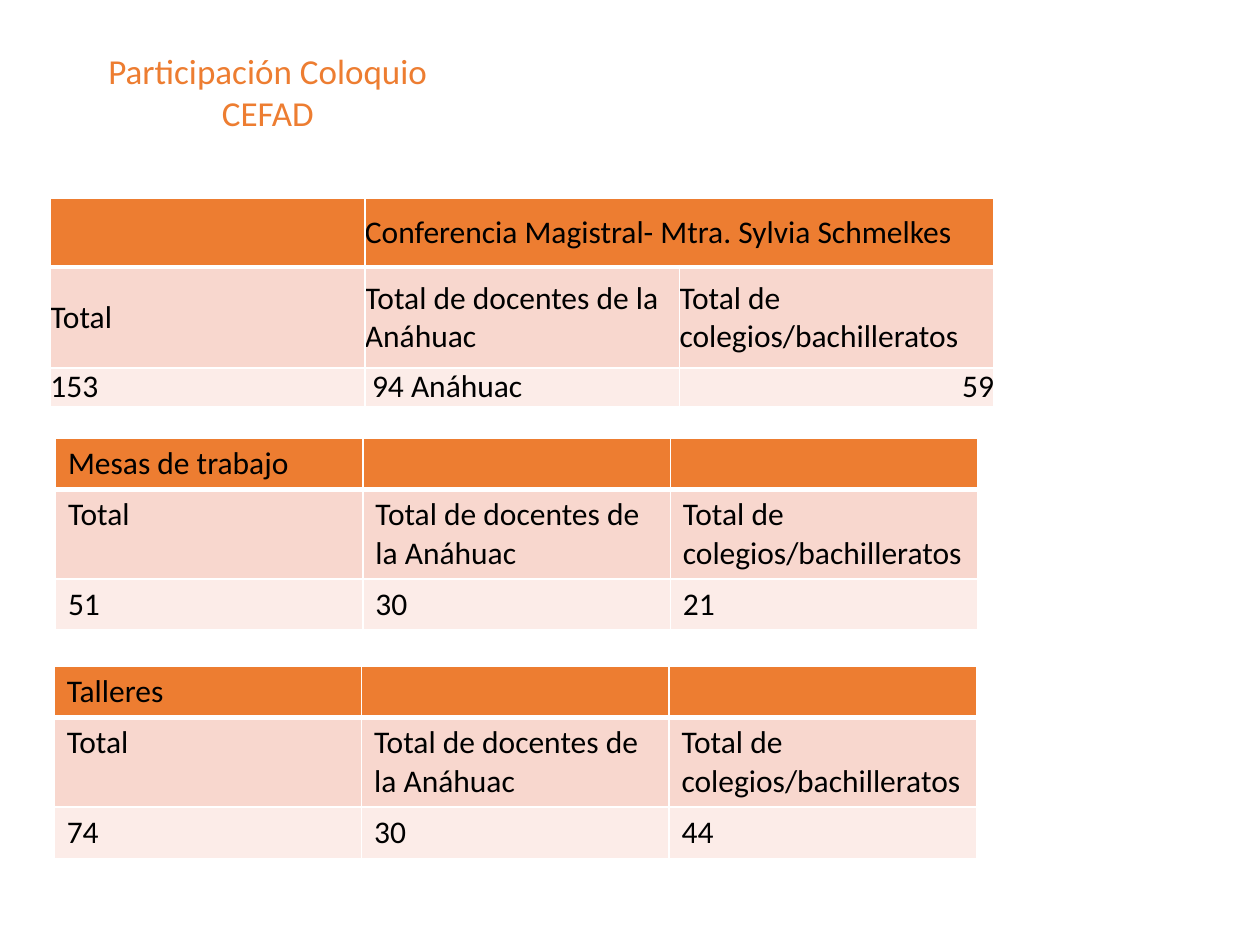
from lxml import etree
from pptx import Presentation
from pptx.dml.color import RGBColor
from pptx.enum.text import MSO_ANCHOR, MSO_AUTO_SIZE, PP_ALIGN
from pptx.oxml.ns import qn
from pptx.util import Inches, Pt

TOP, MIDDLE = MSO_ANCHOR.TOP, MSO_ANCHOR.MIDDLE
LEFT, CENTER, RIGHT = PP_ALIGN.LEFT, PP_ALIGN.CENTER, PP_ALIGN.RIGHT
NO_AUTOFIT = MSO_AUTO_SIZE.NONE
TITLE_ONLY = 5
GRID_COLS, GRID_ROWS = 100, 75

ORANGE, WHITE, BLACK = "ED7D31", "FFFFFF", "000000"
ROW_FILLS = [ORANGE, "F8D7CE", "FCECE8"]
LABELS = ["Total", "Total de docentes de la Anáhuac",
          "Total de colegios/bachilleratos"]


def rgb(value):
    return RGBColor.from_string(value)


def set_borders(cell, bottom):
    """Give a cell white edges of 1 pt, with its own width at the bottom."""
    tc_pr = cell._tc.get_or_add_tcPr()
    widths = {"a:lnL": 1, "a:lnR": 1, "a:lnT": 1, "a:lnB": bottom}
    for i, (tag, width) in enumerate(widths.items()):
        ln = etree.Element(qn(tag), w=str(Pt(width)))
        fill = etree.SubElement(ln, qn("a:solidFill"))
        etree.SubElement(fill, qn("a:srgbClr"), val=WHITE)
        tc_pr.insert(i, ln)


class Deck:
    """Style and current slide; lengths are in grid columns and rows."""
    font = "Calibri"

    def __init__(self):
        self.prs = Presentation()
        self.prs.slide_width, self.prs.slide_height = Inches(10), Inches(7.5)
        self.s = self.prs.slides.add_slide(self.prs.slide_layouts[TITLE_ONLY])

    def x(self, cols):
        return round(self.prs.slide_width * cols / GRID_COLS)

    def y(self, rows):
        return round(self.prs.slide_height * rows / GRID_ROWS)

    def add_text(self, tf, text, size, color, align):
        p = tf.paragraphs[0]
        p.alignment = align
        r = p.add_run()
        r.text = text
        r.font.name, r.font.size, r.font.bold = self.font, Pt(size), False
        r.font.color.rgb = rgb(color)

    def title(self, text, left, top, width, height):
        sp = self.s.shapes.title
        sp.left, sp.top = self.x(left), self.y(top)
        sp.width, sp.height = self.x(width), self.y(height)
        tf = sp.text_frame
        tf.word_wrap, tf.auto_size = True, NO_AUTOFIT
        tf.vertical_anchor = TOP
        self.add_text(tf, text, 20, ORANGE, CENTER)

    def table(self, rows, left, top, width, heights, compact=False):
        """Add a table; a compact one has no margins and a merged heading."""
        n_cols = len(rows[-1])
        table = self.s.shapes.add_table(
            len(rows), n_cols, self.x(left), self.y(top),
            self.x(width), self.y(sum(heights))).table
        for row, height in zip(table.rows, heights):
            row.height = self.y(height)
        for i, texts in enumerate(rows):
            for j, text in enumerate(texts):
                cell = table.cell(i, j)
                cell.fill.solid()
                cell.fill.fore_color.rgb = rgb(ROW_FILLS[i])
                set_borders(cell, 3 if i == 0 else 1)
                if compact:
                    cell.margin_left = cell.margin_right = 0
                    cell.margin_top = cell.margin_bottom = 0
                    cell.vertical_anchor = MIDDLE
                if text:
                    last = compact and (i, j) == (len(rows) - 1, n_cols - 1)
                    self.add_text(cell.text_frame, text, 18, BLACK,
                                  RIGHT if last else LEFT)
        if compact:
            table.cell(0, 1).merge(table.cell(0, n_cols - 1))


def main():
    deck = Deck()
    deck.title("Participación Coloquio CEFAD", 4.4, 3.4, 33.7, 7.7)
    deck.table([["", "Conferencia Magistral- Mtra. Sylvia Schmelkes", ""],
                LABELS, ["153", " 94 Anáhuac", "59"]],
               4, 15.7, 74.9, [5.5, 8, 3], compact=True)
    for heading, values, left, top in [
            ("Mesas de trabajo", ["51", "30", "21"], 4.4, 34.8),
            ("Talleres", ["74", "30", "44"], 4.3, 52.9)]:
        deck.table([[heading, "", ""], LABELS, values],
                   left, top, 73.2, [4, 7, 4])
    deck.prs.save("out.pptx")


if __name__ == "__main__":
    main()
